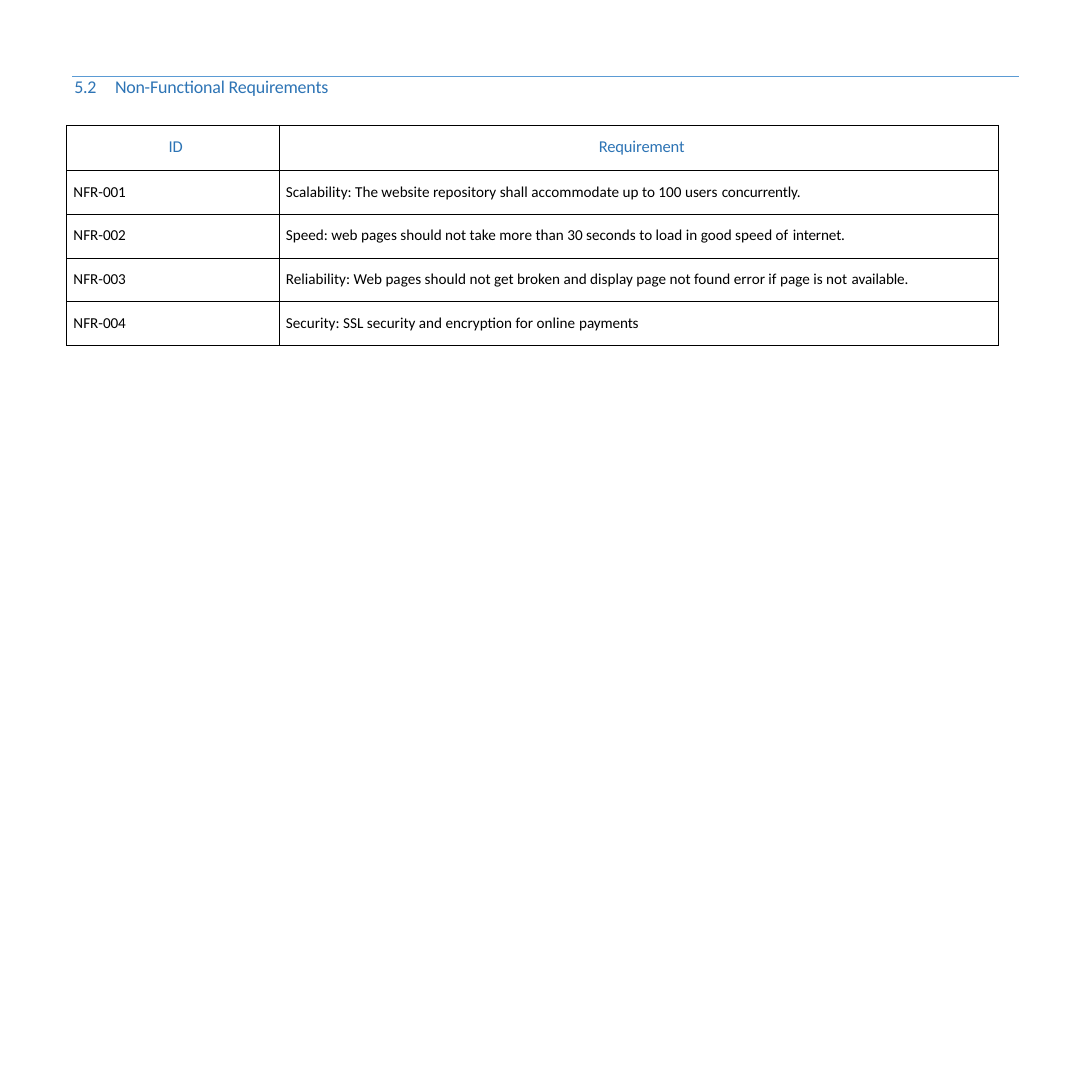
"""Build the slide of non-functional requirements."""
import pptx
import pptx.dml.color
import pptx.enum.shapes
import pptx.enum.text
import pptx.oxml
import pptx.oxml.ns
import pptx.util

SIDE = pptx.util.Inches(11)
LEFT, TOP = 0.67 / 11, 1.26 / 11
COLUMNS = [2.14 / 11, 7.25 / 11]
HEADER_ROW, BODY_ROW = 0.46 / 11, 0.44 / 11
BLUE, BLACK, RULE_BLUE = "2D74B5", "000000", "5B9BD4"


def color(hex_string):
    return pptx.dml.color.RGBColor.from_string(hex_string)


def add_run(paragraph, words, size, ink, spacing):
    run = paragraph.add_run()
    run.text = words
    run.font.name = "Calibri"
    run.font.size = pptx.util.Pt(size)
    run.font.color.rgb = color(ink)
    run.font._element.set("spc", str(round(spacing * 100)))


deck = pptx.Presentation()
deck.slide_width = deck.slide_height = SIDE
slide = deck.slides.add_slide(deck.slide_layouts[6])

outline = slide.shapes.build_freeform(int(SIDE * 0.0664), int(SIDE * 0.07))
outline.add_line_segments([
    (int(SIDE * 0.9336), int(SIDE * 0.07)),
    (int(SIDE * 0.9336), int(SIDE * 0.0706)),
    (int(SIDE * 0.0664), int(SIDE * 0.0706)),
])
top_rule = outline.convert_to_shape()
top_rule.shadow.inherit = False
top_rule.fill.solid()
top_rule.fill.fore_color.rgb = color(RULE_BLUE)
top_rule.line.fill.background()

heading = slide.shapes.add_textbox(
    int(SIDE * 0.0673), int(SIDE * 0.0682), int(SIDE * 0.2336), int(SIDE * 0.0415))
heading_frame = heading.text_frame
heading_frame.word_wrap = True
heading_frame.auto_size = pptx.enum.text.MSO_AUTO_SIZE.SHAPE_TO_FIT_TEXT
heading_frame.margin_left = heading_frame.margin_right = heading_frame.margin_bottom = 0
heading_frame.margin_top = pptx.util.Inches(0.01)
heading_line = heading_frame.paragraphs[0]
heading_line.space_before = pptx.util.Pt(0.9)
heading_layout = heading_line._p.get_or_add_pPr()
heading_layout.set("marL", str(pptx.util.Inches(0.01)))
heading_layout.append(pptx.oxml.parse_xml(
    f'<a:tabLst {pptx.oxml.ns.nsdecls("a")}>'
    f'<a:tab pos="{pptx.util.Inches(0.41)}" algn="l"/></a:tabLst>'))
add_run(heading_line, "5.2\tNon-", 13, BLUE, -0.2)
add_run(heading_line, "Functional Requirements", 13, BLUE, -0.1)

requirements = [
    ("Scalability: The website repository shall accommodate up to 100 users ", "concurrently."),
    ("Speed: web pages should not take more than 30 seconds to load in good speed of ", "internet."),
    ("Reliability: Web pages should not get broken and display page not found error if page is not",
     " available."),
    ("Security: SSL security and encryption for online ", "payments"),
]
rows = [[[("ID", -0.2)], [("Requirement", -0.1)]]]
for number, (opening, ending) in enumerate(requirements, 1):
    rows.append([[("NFR-", 0), (f"{number:03}", -0.2)], [(opening, 0), (ending, -0.1)]])

table = slide.shapes.add_table(
    len(rows), len(COLUMNS), int(SIDE * LEFT), int(SIDE * TOP), int(SIDE * sum(COLUMNS)),
    int(SIDE * (HEADER_ROW + BODY_ROW * len(requirements)))).table
table.first_row = table.horz_banding = False
for column, share in zip(table.columns, COLUMNS):
    column.width = int(SIDE * share)

for row_number, row in enumerate(rows):
    is_header = row_number == 0
    table.rows[row_number].height = int(SIDE * (HEADER_ROW if is_header else BODY_ROW))
    for column_number, pieces in enumerate(row):
        cell = table.cell(row_number, column_number)
        cell.margin_left = cell.margin_right = cell.margin_bottom = 0
        cell.margin_top = pptx.util.Inches(0.12)
        for edge in ("lnL", "lnR", "lnT", "lnB"):
            cell._tc.get_or_add_tcPr().append(pptx.oxml.parse_xml(
                f'<a:{edge} {pptx.oxml.ns.nsdecls("a")} w="{pptx.util.Pt(0.5)}">'
                f'<a:solidFill><a:srgbClr val="{BLACK}"/></a:solidFill></a:{edge}>'))
        cell.fill.background()
        entry = cell.text_frame.paragraphs[0]
        entry.alignment = (pptx.enum.text.PP_ALIGN.CENTER if is_header
                           else pptx.enum.text.PP_ALIGN.LEFT)
        indent = pptx.util.Inches(0.06 if is_header else 0.07)
        entry._p.get_or_add_pPr().set("marL", str(indent))
        for words, spacing in pieces:
            add_run(entry, words, 12 if is_header else 11, BLUE if is_header else BLACK, spacing)

deck.save("out.pptx")
